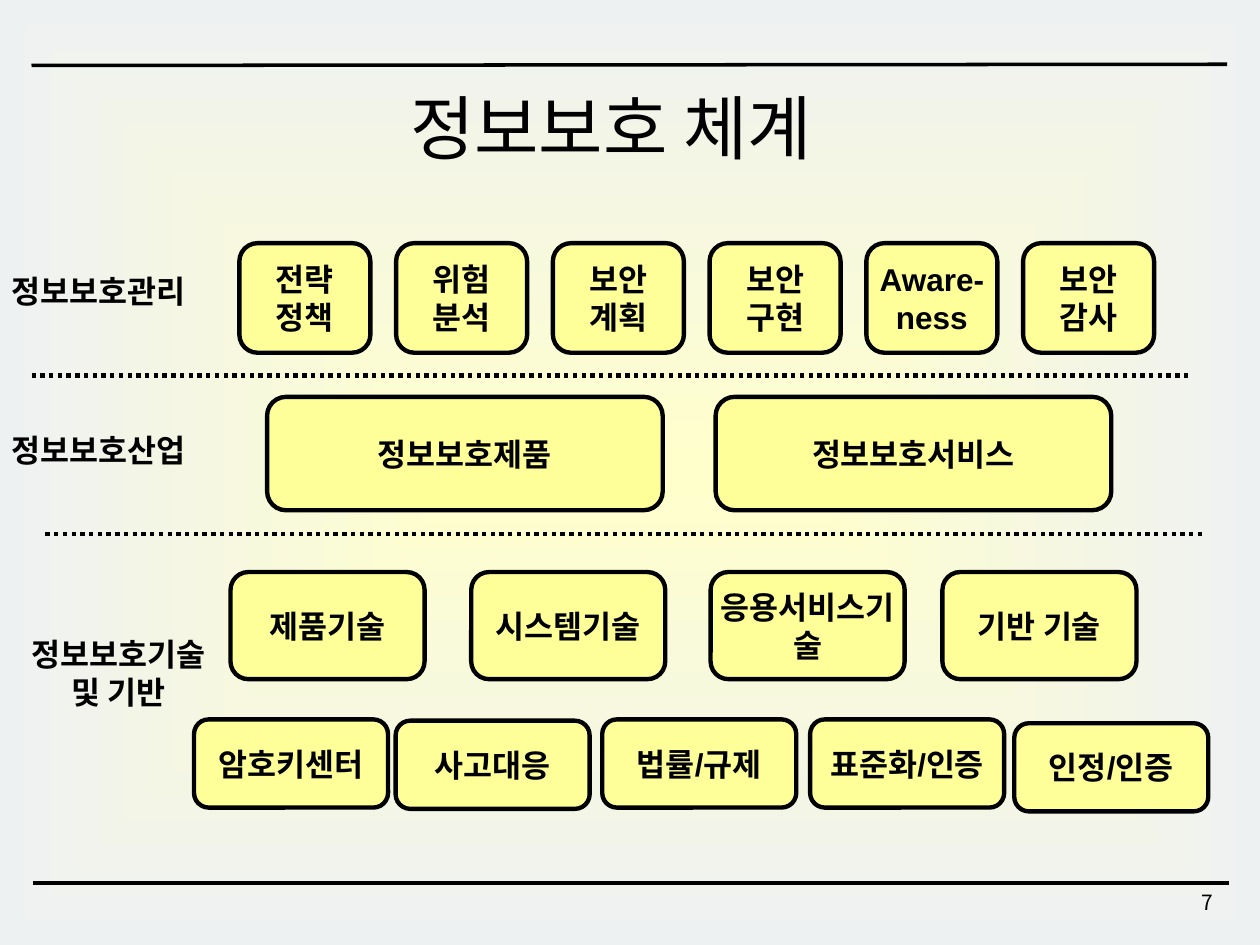
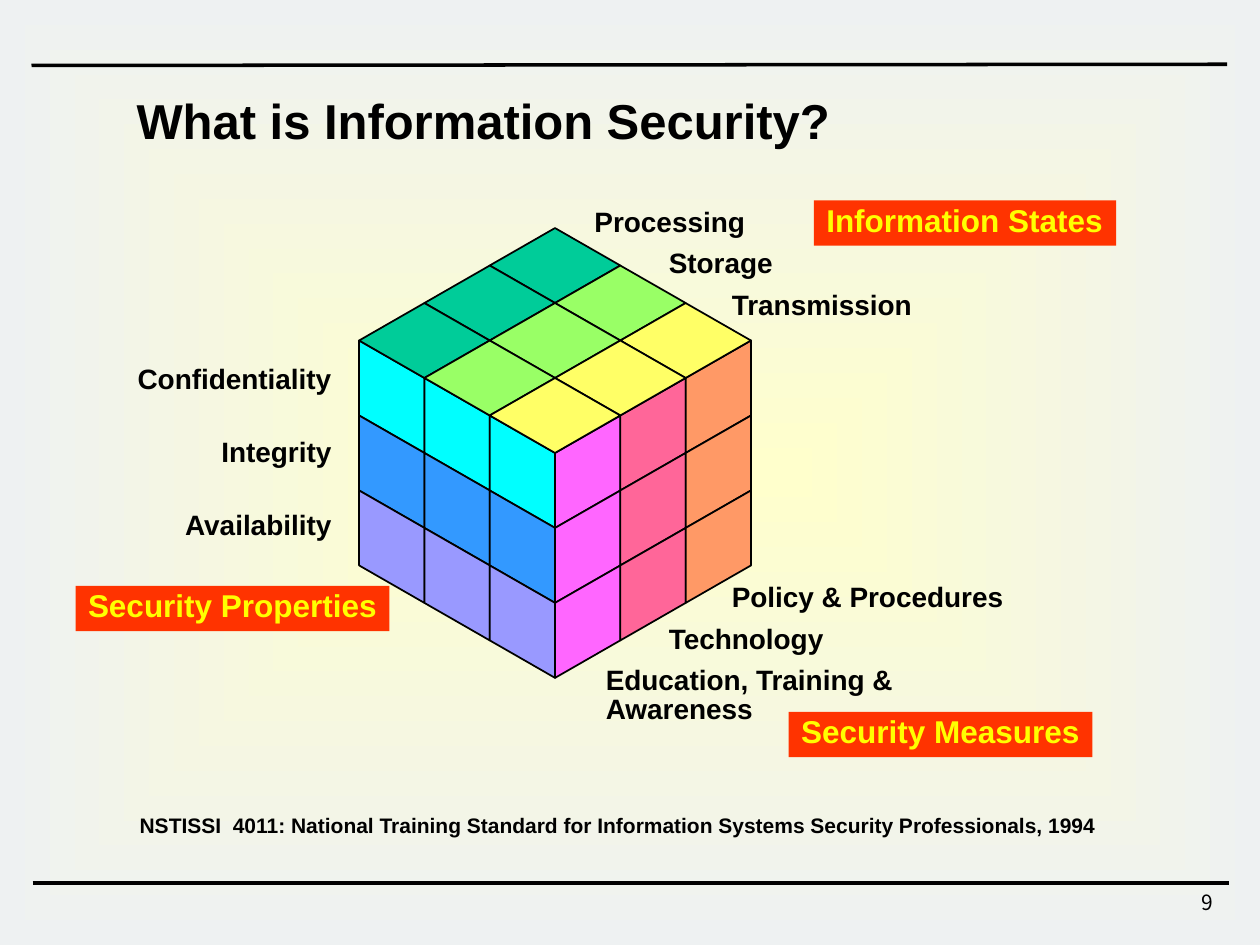
from lxml.etree import SubElement
from pptx import Presentation
from pptx.dml.color import RGBColor
from pptx.enum.dml import MSO_LINE
from pptx.enum.shapes import MSO_CONNECTOR, MSO_SHAPE
from pptx.enum.text import MSO_ANCHOR, MSO_AUTO_SIZE, PP_ALIGN
from pptx.oxml.ns import qn
from pptx.util import Inches, Pt

COLORS = {
    "ink": "000000", "glow": "FFFFCC", "edge": "EEF1F2",
    "box": "FFFF99", "tag": "FF3300", "tag_text": "FFFF00",
}
LEFT, CENTER, RIGHT = PP_ALIGN.LEFT, PP_ALIGN.CENTER, PP_ALIGN.RIGHT
FRAME_LINES = [(0.25, 0.52, 9.74, 0.51), (0.26, 7.01, 9.75, 7.01)]

# Slide 1: box rows as (width, height, [(text, left, top), ...])
MANAGEMENT = ["전략\n정책", "위험\n분석", "보안\n계획", "보안\n구현", "Aware-ness", "보안\n감사"]
MANAGEMENT_LEFT, MANAGEMENT_RIGHT = 1.9, 8.12
MANAGEMENT_STEP = (MANAGEMENT_RIGHT - MANAGEMENT_LEFT) / (len(MANAGEMENT) - 1)
BOX_ROWS = [
    (1.04, 0.87, [(text, MANAGEMENT_LEFT + i * MANAGEMENT_STEP, 1.93)
                  for i, text in enumerate(MANAGEMENT)]),
    (3.14, 0.9, [("정보보호제품", 2.12, 3.15), ("정보보호서비스", 5.68, 3.15)]),
    (1.54, 0.85, [("제품기술", 1.83, 4.54), ("시스템기술", 3.74, 4.54),
                  ("응용서비스기술", 5.64, 4.54), ("기반 기술", 7.48, 4.54)]),
    (1.54, 0.7, [("암호키센터", 1.54, 5.71), ("사고대응", 3.14, 5.72),
                 ("법률/규제", 4.78, 5.71), ("표준화/인증", 6.43, 5.71),
                 ("인정/인증", 8.05, 5.74)]),
]
ROW_LABELS = [
    ("정보보호관리", (0, 2.11, 1.57, 0.4)),
    ("정보보호산업", (0, 3.37, 1.57, 0.4)),
    ("정보보호기술\n및 기반", (0.14, 4.99, 1.6, 0.71)),
]
ROW_DIVIDERS = [(0.25, 2.98, 9.45, 2.98), (0.36, 4.24, 9.56, 4.24)]

# Slide 2: the cube's bounding box, face colours and labels
CUBE = (2.85, 1.81, 3.11, 3.57)
STATE_COLORS = ["00CC99", "99FF66", "FFFF66"]
PROPERTY_COLORS = ["00FFFF", "3399FF", "9999FF"]
MEASURE_COLORS = ["FF66FF", "FF6699", "FF9966"]
CUBE_LABELS = [
    ("Confidentiality", (0.98, 2.86, 1.75, 0.33), RIGHT),
    ("Integrity", (1.65, 3.44, 1.08, 0.33), RIGHT),
    ("Availability", (1.35, 4.02, 1.38, 0.33), RIGHT),
    ("Processing", (4.62, 1.61, 1.4, 0.33), LEFT),
    ("Storage", (5.21, 1.94, 1.03, 0.33), LEFT),
    ("Transmission", (5.71, 2.27, 1.65, 0.33), LEFT),
    ("Policy & Procedures", (5.71, 4.59, 2.36, 0.33), LEFT),
    ("Technology", (5.21, 4.92, 1.45, 0.33), LEFT),
    ("Education, Training & Awareness", (4.71, 5.25, 2.83, 0.56), LEFT),
]
TAGS = [
    ("Security Properties", (0.6, 4.65, 2.49, 0.36)),
    ("Information States", (6.46, 1.59, 2.4, 0.36)),
    ("Security Measures", (6.26, 5.65, 2.41, 0.36)),
]
CITATION = ("NSTISSI  4011: National Training Standard for Information "
            "Systems Security Professionals, 1994")


def rgb(value):
    return RGBColor.from_string(COLORS.get(value, value))


def inches(values):
    return [Inches(v) for v in values]


def write(sp, text, size, align=LEFT, font="Arial", bold=True, color="ink",
          anchor=MSO_ANCHOR.TOP, wrap=True, inset=None, spacing=None):
    tf = sp.text_frame
    tf.text = text
    tf.word_wrap = wrap
    tf.auto_size = MSO_AUTO_SIZE.NONE
    tf.vertical_anchor = anchor
    if inset is not None:
        tf.margin_left = tf.margin_top = tf.margin_right = tf.margin_bottom = Inches(inset)
    for p in tf.paragraphs:
        p.alignment = align
        p.line_spacing = spacing
        p.font.name = font
        p.font.size = Pt(size)
        p.font.bold = bold
        p.font.color.rgb = rgb(color)


def add_text(s, text, at, size, **style):
    write(s.shapes.add_textbox(*inches(at)), text, size, **style)


def paint(sp, fill, line_width=None):
    sp.shadow.inherit = False
    sp.fill.solid()
    sp.fill.fore_color.rgb = rgb(fill)
    if line_width:
        sp.line.color.rgb = rgb("ink")
        sp.line.width = Pt(line_width)
    else:
        sp.line.fill.background()


def add_line(s, ends, width, dash=None):
    line = s.shapes.add_connector(MSO_CONNECTOR.STRAIGHT, *inches(ends))
    line.line.color.rgb = rgb("ink")
    line.line.width = Pt(width)
    if dash:
        line.line.dash_style = dash
    SubElement(line.element.spPr, qn("a:effectLst"))


def add_glow(s, prs):
    """Cover the slide, behind its title, with a gradient spreading from the centre."""
    sp = s.shapes.add_shape(MSO_SHAPE.RECTANGLE, 0, 0, prs.slide_width, prs.slide_height)
    sp.shadow.inherit = False
    sp.line.fill.background()
    sp.fill.gradient()
    for stop, color in zip(sp.fill.gradient_stops, ("glow", "edge")):
        stop.color.rgb = rgb(color)
    grad = sp.element.spPr.find(qn("a:gradFill"))
    grad.remove(grad.find(qn("a:lin")))
    shade = SubElement(grad, qn("a:path"), {"path": "shape"})
    SubElement(shade, qn("a:fillToRect"), {side: "50000" for side in "ltrb"})
    s.shapes.title.element.addprevious(sp.element)


def add_slide(prs, number, title, at, size, **style):
    s = prs.slides.add_slide(prs.slide_layouts[5])
    add_glow(s, prs)
    for ends in FRAME_LINES:
        add_line(s, ends, 2)
    add_text(s, number, (7.65, 7.01, 2.08, 0.33), 12, align=RIGHT,
             font="Noto Sans CJK KR", bold=False)
    sp = s.shapes.title
    sp.left, sp.top, sp.width, sp.height = inches(at)
    write(sp, title, size, align=CENTER, **style)
    return s


def add_cube(s):
    left, top, width, height = CUBE
    dx, dy = width / 6, height / 12
    middle = left + 3 * dx
    shapes = s.shapes.add_group_shape().shapes

    def side_tile(x, y, slope, color):
        rise = slope * dy
        points = [(x, y), (x + dx, y + rise), (x + dx, y + rise + 2 * dy), (x, y + 2 * dy)]
        start, *rest = [inches(point) for point in points]
        outline = shapes.build_freeform(*start)
        outline.add_line_segments(rest)
        paint(outline.convert_to_shape(), color, 1)

    for row, color in enumerate(PROPERTY_COLORS):
        for col in range(3):
            side_tile(left + col * dx, top + (3 + col + 2 * row) * dy, 1, color)
    for col, color in enumerate(MEASURE_COLORS):
        for row in range(3):
            side_tile(middle + col * dx, top + (6 - col + 2 * row) * dy, -1, color)
    for band, color in enumerate(STATE_COLORS):
        for step in range(3):
            at = (middle + (band - step - 1) * dx, top + (band + step) * dy, 2 * dx, 2 * dy)
            paint(shapes.add_shape(MSO_SHAPE.DIAMOND, *inches(at)), color, 1)


def build_framework(prs):
    s = add_slide(prs, "7", "정보보호 체계", (0.35, 0.62, 9, 1.25), 40,
                  font="Times New Roman", bold=False)
    for width, height, boxes in BOX_ROWS:
        for text, x, y in boxes:
            sp = s.shapes.add_shape(MSO_SHAPE.ROUNDED_RECTANGLE, *inches((x, y, width, height)))
            paint(sp, "box", 2.5)
            write(sp, text, 18, align=CENTER, anchor=MSO_ANCHOR.MIDDLE, inset=0)
    for text, at in ROW_LABELS:
        add_text(s, text, at, 18, align=CENTER, wrap=False)
    for ends in ROW_DIVIDERS:
        add_line(s, ends, 2.5, MSO_LINE.ROUND_DOT)


def build_security_cube(prs):
    s = add_slide(prs, "9", "What is Information Security?", (0.63, 0.72, 6.41, 0.62), 28,
                  inset=0)
    add_cube(s)
    for text, at, align in CUBE_LABELS:
        add_text(s, text, at, 16, align=align, spacing=0.86)
    for text, at in TAGS:
        sp = s.shapes.add_shape(MSO_SHAPE.RECTANGLE, *inches(at))
        paint(sp, "tag")
        write(sp, text, 18, color="tag_text", wrap=False, spacing=0.85)
    add_text(s, CITATION, (1.01, 6.4, 7.82, 0.3), 12, wrap=False)


def main():
    prs = Presentation()
    prs.slide_width, prs.slide_height = Inches(10), Inches(7.5)
    build_framework(prs)
    build_security_cube(prs)
    prs.save("out.pptx")


if __name__ == "__main__":
    main()
